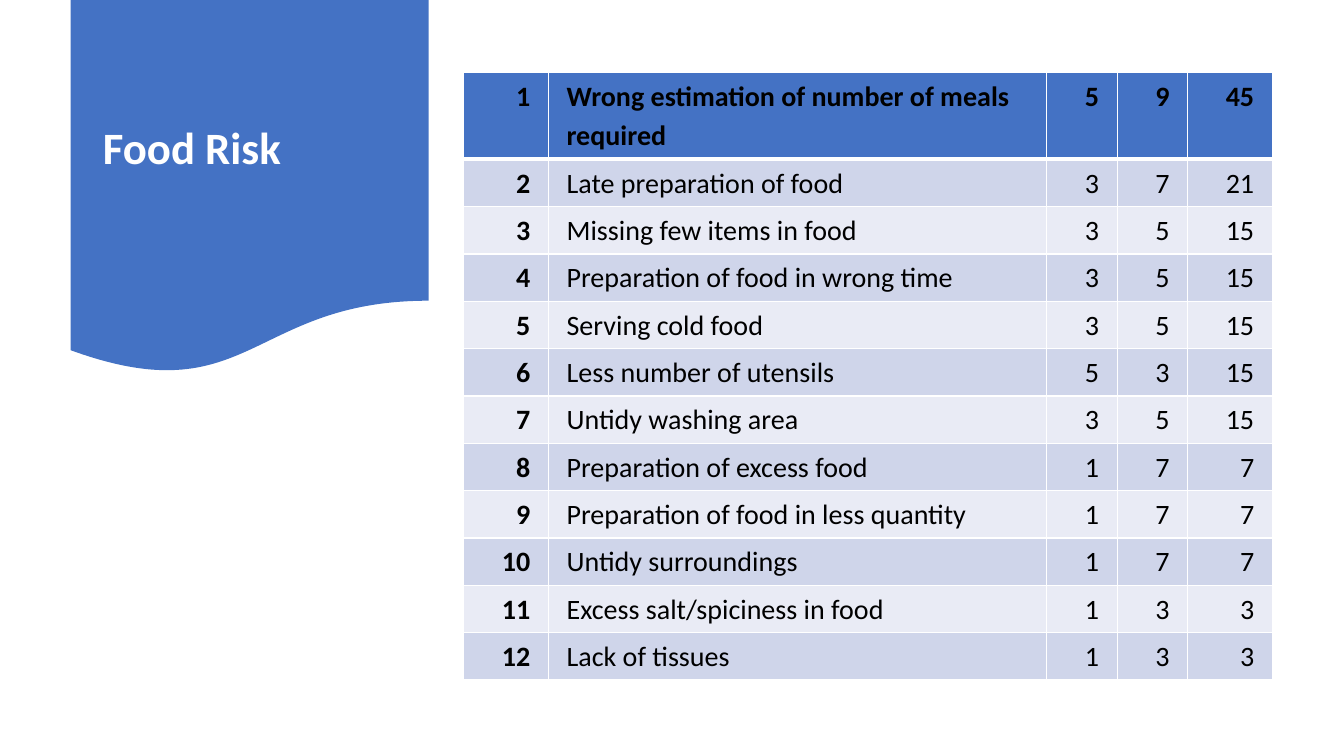
import pptx
import pptx.dml.color
import pptx.enum.shapes
import pptx.enum.text
import pptx.oxml.ns
import pptx.util
from lxml import etree

Inches = pptx.util.Inches
Pt = pptx.util.Pt
Align = pptx.enum.text.PP_ALIGN
Anchor = pptx.enum.text.MSO_ANCHOR

# Risk, followed by the two ratings whose product is the score.
FOOD_RISKS = [
    ("Wrong estimation of number of meals required", 5, 9),
    ("Late preparation of food", 3, 7),
    ("Missing few items in food", 3, 5),
    ("Preparation of food in wrong time", 3, 5),
    ("Serving cold food", 3, 5),
    ("Less number of utensils", 5, 3),
    ("Untidy washing area", 3, 5),
    ("Preparation of excess food", 1, 7),
    ("Preparation of food in less quantity", 1, 7),
    ("Untidy surroundings", 1, 7),
    ("Excess salt/spiciness in food", 1, 3),
    ("Lack of tissues", 1, 3),
]


def rgb(value):
    return pptx.dml.color.RGBColor.from_string(value)


def write(frame, text, *, size, color, font, bold=False, align=Align.LEFT,
          line_spacing=1.0, space_after=0):
    paragraph = frame.paragraphs[0]
    paragraph.alignment = align
    paragraph.line_spacing = line_spacing
    paragraph.space_before = Pt(0)
    paragraph.space_after = Pt(space_after)
    run = paragraph.add_run()
    run.text = text
    run.font.name = font
    run.font.size = Pt(size)
    run.font.bold = bold
    run.font.color.rgb = rgb(color)


class RiskSlide:
    FONT = "Calibri"
    ACCENT = "4472C4"
    WHITE = "FFFFFF"
    BLACK = "000000"
    BANDS = ("E9EBF5", "CFD5EA")

    def __init__(self, deck):
        self.slide = deck.slides.add_slide(deck.slide_layouts[5])

    def banner(self, left, top, width, height):
        """Add the wavy panel behind the title."""
        panel = self.slide.shapes.add_shape(
            pptx.enum.shapes.MSO_SHAPE.FLOWCHART_DOCUMENT,
            Inches(left), Inches(top), Inches(width), Inches(height))
        panel.shadow.inherit = False
        panel.fill.solid()
        panel.fill.fore_color.rgb = rgb(self.ACCENT)
        panel.line.fill.background()
        self.slide.shapes.title.element.addprevious(panel.element)

    def title(self, text, left, top, width, height):
        heading = self.slide.shapes.title
        heading.left, heading.top = Inches(left), Inches(top)
        heading.width, heading.height = Inches(width), Inches(height)
        frame = heading.text_frame
        frame.word_wrap = True
        frame.auto_size = pptx.enum.text.MSO_AUTO_SIZE.NONE
        frame.vertical_anchor = Anchor.MIDDLE
        write(frame, text, size=32, color=self.WHITE, font=self.FONT,
              bold=True, line_spacing=0.9)

    def border(self, cell, edge, width):
        properties = cell._tc.get_or_add_tcPr()
        line = etree.SubElement(properties, pptx.oxml.ns.qn(f"a:ln{edge}"),
                                w=str(Pt(width)))
        fill = etree.SubElement(line, pptx.oxml.ns.qn("a:solidFill"))
        etree.SubElement(fill, pptx.oxml.ns.qn("a:srgbClr"), val=self.WHITE)

    def cell(self, cell, text, row, column):
        cell.margin_left = cell.margin_right = Inches(0.18)
        cell.margin_top, cell.margin_bottom = Inches(0.02), Inches(0)
        cell.vertical_anchor = Anchor.TOP
        edge_widths = {"L": 1, "R": 1, "T": 3 if row == 1 else 1,
                       "B": 3 if row == 0 else 1}
        for edge, width in edge_widths.items():
            self.border(cell, edge, width)
        cell.fill.solid()
        cell.fill.fore_color.rgb = rgb(
            self.ACCENT if row == 0 else self.BANDS[row % 2])
        write(cell.text_frame, text, size=20, color=self.BLACK, font=self.FONT,
              bold=row == 0 or column == 0,
              align=Align.LEFT if column == 1 else Align.RIGHT,
              line_spacing=1.15, space_after=10)

    def table(self, rows, left, top, widths, first_height, row_height):
        height = first_height + row_height * (len(rows) - 1)
        risks = self.slide.shapes.add_table(
            len(rows), len(widths), Inches(left), Inches(top),
            Inches(sum(widths)), Inches(height)).table
        for column, width in zip(risks.columns, widths):
            column.width = Inches(width)
        for r, values in enumerate(rows):
            risks.rows[r].height = Inches(row_height if r else first_height)
            for c, value in enumerate(values):
                self.cell(risks.cell(r, c), str(value), r, c)


def main():
    deck = pptx.Presentation()
    deck.slide_width, deck.slide_height = Inches(13.33), Inches(7.5)
    page = RiskSlide(deck)
    page.banner(0.7, 0, 3.55, 3.72)
    page.title("Food Risk", 0.92, 0.19, 3.11, 2.59)
    ranked = [(rank, risk, first, second, first * second)
              for rank, (risk, first, second) in enumerate(FOOD_RISKS, 1)]
    page.table(ranked, 4.6, 0.72, (0.84, 4.94, 0.7, 0.7, 0.84), 0.86, 0.47)
    deck.save("out.pptx")


if __name__ == "__main__":
    main()
